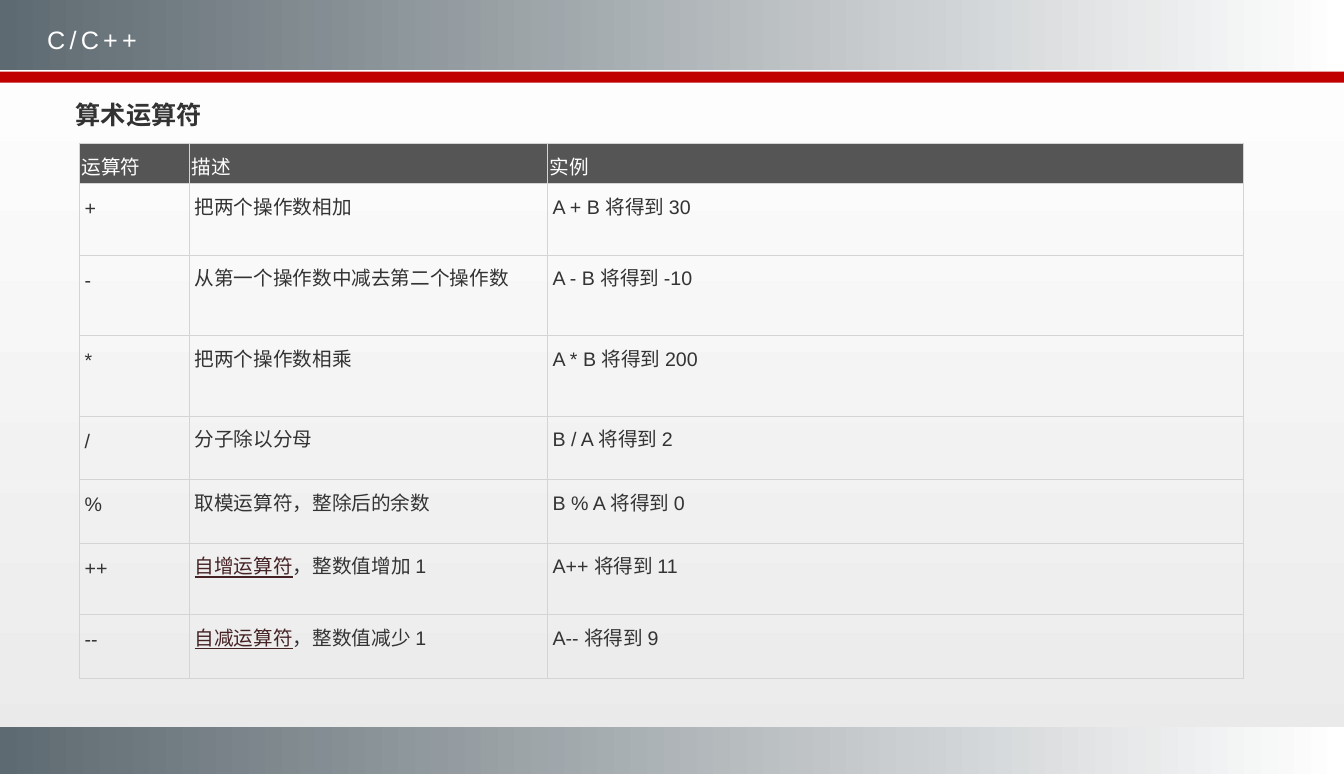
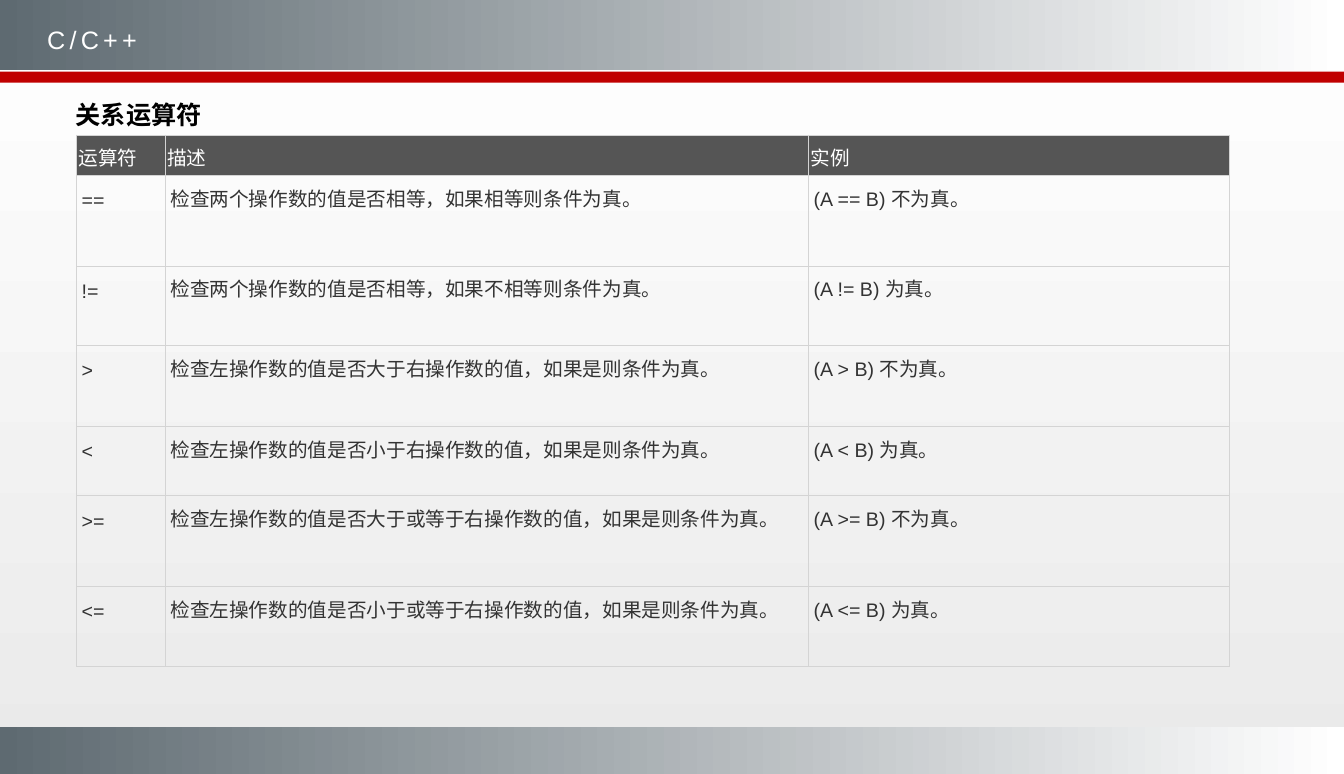
from lxml.etree import SubElement
from pptx import Presentation
from pptx.dml.color import RGBColor
from pptx.enum.shapes import MSO_SHAPE
from pptx.enum.text import MSO_ANCHOR, PP_ALIGN
from pptx.oxml.ns import qn
from pptx.util import Inches, Pt

WHITE = RGBColor(0xFF, 0xFF, 0xFF)
BLACK = RGBColor(0x00, 0x00, 0x00)
INK = RGBColor(0x33, 0x33, 0x33)
SLATE = RGBColor(0x5E, 0x6A, 0x71)
MIST = RGBColor(0xEA, 0xEA, 0xEA)
RED = RGBColor(0xC0, 0x00, 0x00)
WINE = RGBColor(0x45, 0x23, 0x25)
HEAD = RGBColor(0x55, 0x55, 0x55)
RULE = RGBColor(0xD4, 0xD4, 0xD4)
FONT = "Arial"
WIDTH, HEIGHT = 13.33, 7.68

TITLES = ("运算符", "描述", "实例")
LINKS = ("自增运算符", "自减运算符")
PAGES = [
    {
        "title": "算术运算符", "color": INK, "at": (0.79, 1.42),
        "cols": (1.09, 3.55, 6.9),
        "rows": [
            (0.71, "+", "把两个操作数相加", "A + B 将得到 30"),
            (0.8, "-", "从第一个操作数中减去第二个操作数", "A - B 将得到 -10"),
            (0.8, "*", "把两个操作数相乘", "A * B 将得到 200"),
            (0.63, "/", "分子除以分母", "B / A 将得到 2"),
            (0.63, "%", "取模运算符，整除后的余数", "B % A 将得到 0"),
            (0.71, "++", "自增运算符，整数值增加 1", "A++ 将得到 11"),
            (0.63, "--", "自减运算符，整数值减少 1", "A-- 将得到 9"),
        ],
    },
    {
        "title": "关系运算符", "color": BLACK, "at": (0.76, 1.34),
        "cols": (0.88, 6.38, 4.17),
        "rows": [
            (0.9, "==", "检查两个操作数的值是否相等，如果相等则条件为真。", "(A == B) 不为真。"),
            (0.79, "!=", "检查两个操作数的值是否相等，如果不相等则条件为真。", "(A != B) 为真。"),
            (0.8, ">", "检查左操作数的值是否大于右操作数的值，如果是则条件为真。", "(A > B) 不为真。"),
            (0.69, "<", "检查左操作数的值是否小于右操作数的值，如果是则条件为真。", "(A < B) 为真。"),
            (0.9, ">=", "检查左操作数的值是否大于或等于右操作数的值，如果是则条件为真。", "(A >= B) 不为真。"),
            (0.79, "<=", "检查左操作数的值是否小于或等于右操作数的值，如果是则条件为真。", "(A <= B) 为真。"),
        ],
    },
]


def put(frame, text, size=14, color=INK, bold=False, link="", line=None, track=0):
    """Write one paragraph; link is the leading part to underline."""
    para = frame.paragraphs[0]
    para.alignment = PP_ALIGN.LEFT
    if line:
        para.line_spacing = Pt(line)
    for words, tint in ((link, WINE), (text.removeprefix(link), color)):
        if not words:
            continue
        run = para.add_run()
        run.text = words
        font = run.font
        font.name, font.size, font.bold = FONT, Pt(size), bold
        font.color.rgb = tint
        if tint == WINE:
            font.underline = True
        if track:
            run._r.get_or_add_rPr().set("spc", str(track * 100))


def shade(fill, start, end, angle):
    fill.gradient()
    fill.gradient_angle = angle
    for stop, color in zip(fill.gradient_stops, (start, end)):
        stop.color.rgb = color


deck = Presentation()
deck.slide_width, deck.slide_height = Inches(WIDTH), Inches(HEIGHT)
shade(deck.slide_master.background.fill, MIST, WHITE, 90)

layout = deck.slide_layouts[5]
title = layout.placeholders[0]
title.left, title.top = Inches(0.65), Inches(0.94)
title.width, title.height = Inches(4.44), Inches(0.4)
title.text_frame.vertical_anchor = MSO_ANCHOR.TOP

slides = [deck.slides.add_slide(layout) for page in PAGES]

# The bands are drawn on a slide, then moved into the layout that all slides share.
bands = [(0, 0.7, None), (0.71, 0.11, RED), (7.21, 0.47, None)]
for spot, (top, high, color) in enumerate(bands, 2):
    band = slides[0].shapes.add_shape(
        MSO_SHAPE.RECTANGLE, 0, Inches(top), Inches(WIDTH), Inches(high))
    band.shadow.inherit = False
    band.line.fill.background()
    if color is None:
        shade(band.fill, SLATE, WHITE, 0)
    else:
        band.fill.solid()
        band.fill.fore_color.rgb = color
    layout.shapes.element.insert(spot, band.element)

for slide, page in zip(slides, PAGES):
    put(slide.shapes.title.text_frame, page["title"], size=18, color=page["color"], bold=True)

    topic = slide.shapes.add_textbox(Inches(0.37), Inches(0.19), Inches(12.43), Inches(0.4))
    topic.text_frame.word_wrap = True
    put(topic.text_frame, "C/C++", size=18, color=WHITE, track=3)

    rows = [(0.4, *TITLES), *page["rows"]]
    left, top = page["at"]
    wide, high = sum(page["cols"]), sum(row[0] for row in rows)
    table = slide.shapes.add_table(
        len(rows), len(TITLES), Inches(left), Inches(top), Inches(wide), Inches(high)).table
    table.horz_banding = False
    for col, size in zip(table.columns, page["cols"]):
        col.width = Inches(size)

    for r, (tall, *texts) in enumerate(rows):
        table.rows[r].height = Inches(tall)
        for c, text in enumerate(texts):
            cell = table.cell(r, c)
            side, edge = (0.02, 0.08) if r == 0 else (0.05, 0.07)
            cell.margin_left = cell.margin_right = Inches(side)
            cell.margin_top = cell.margin_bottom = Inches(edge)
            for tag in ("a:lnL", "a:lnR", "a:lnT", "a:lnB"):
                rule = SubElement(cell._tc.get_or_add_tcPr(), qn(tag), w=str(Pt(0.75)))
                fill = SubElement(rule, qn("a:solidFill"))
                SubElement(fill, qn("a:srgbClr"), val=str(RULE))
            if r == 0:
                cell.fill.solid()
                cell.fill.fore_color.rgb = HEAD
                put(cell.text_frame, text, color=WHITE)
            else:
                cell.fill.background()
                link = next((word for word in LINKS if text.startswith(word)), "")
                put(cell.text_frame, text, link=link, line=21)

deck.save("out.pptx")
